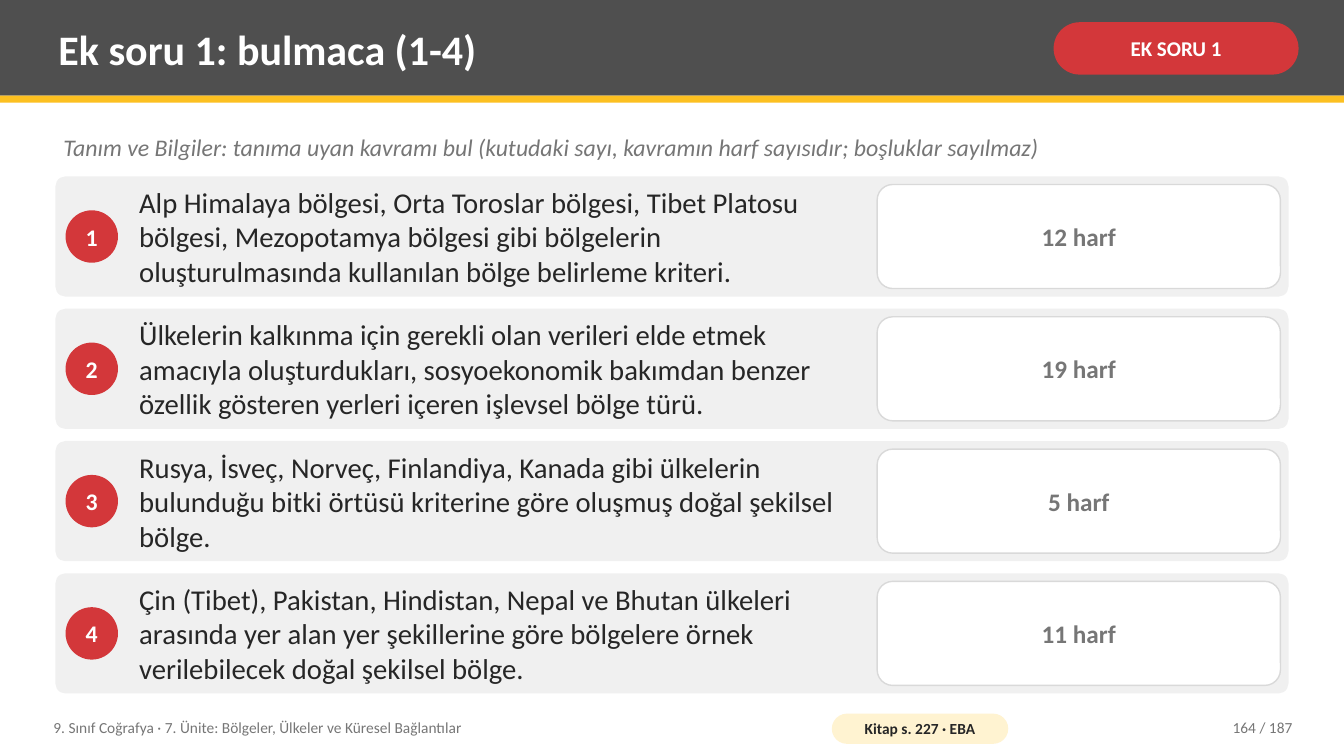
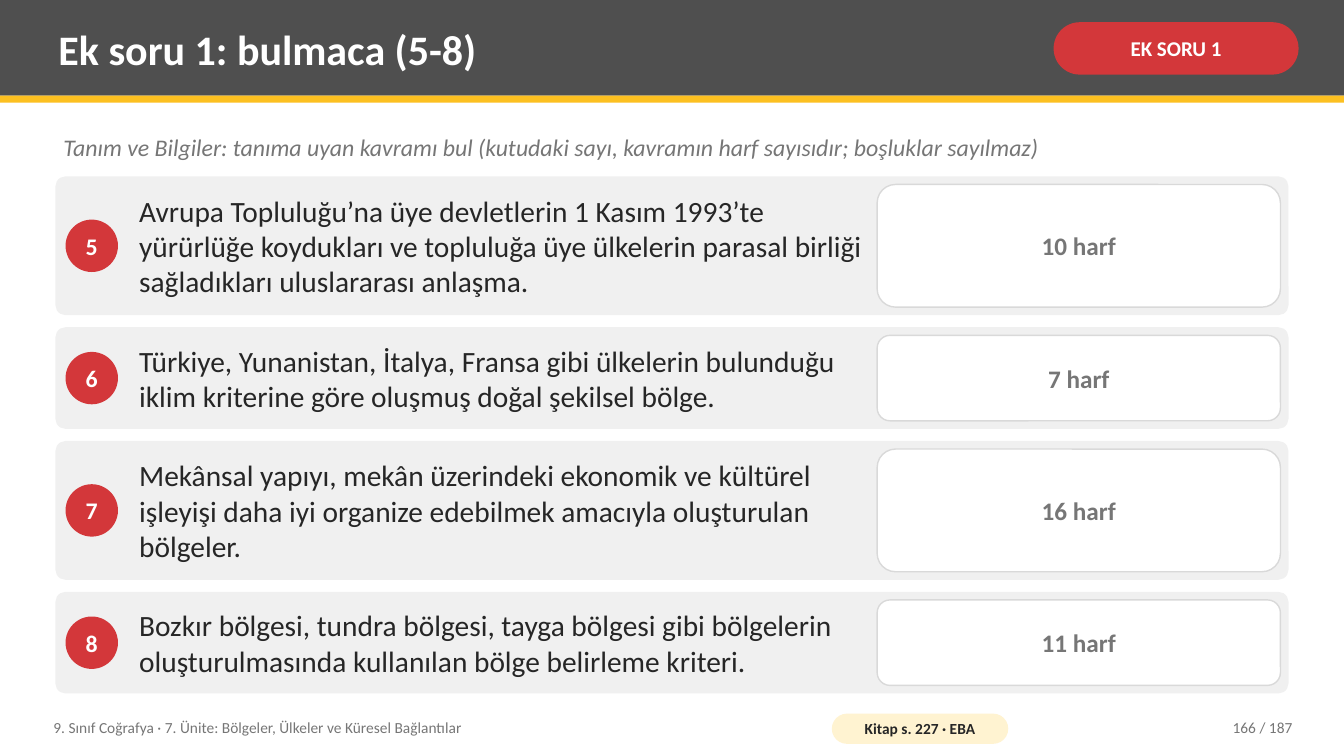
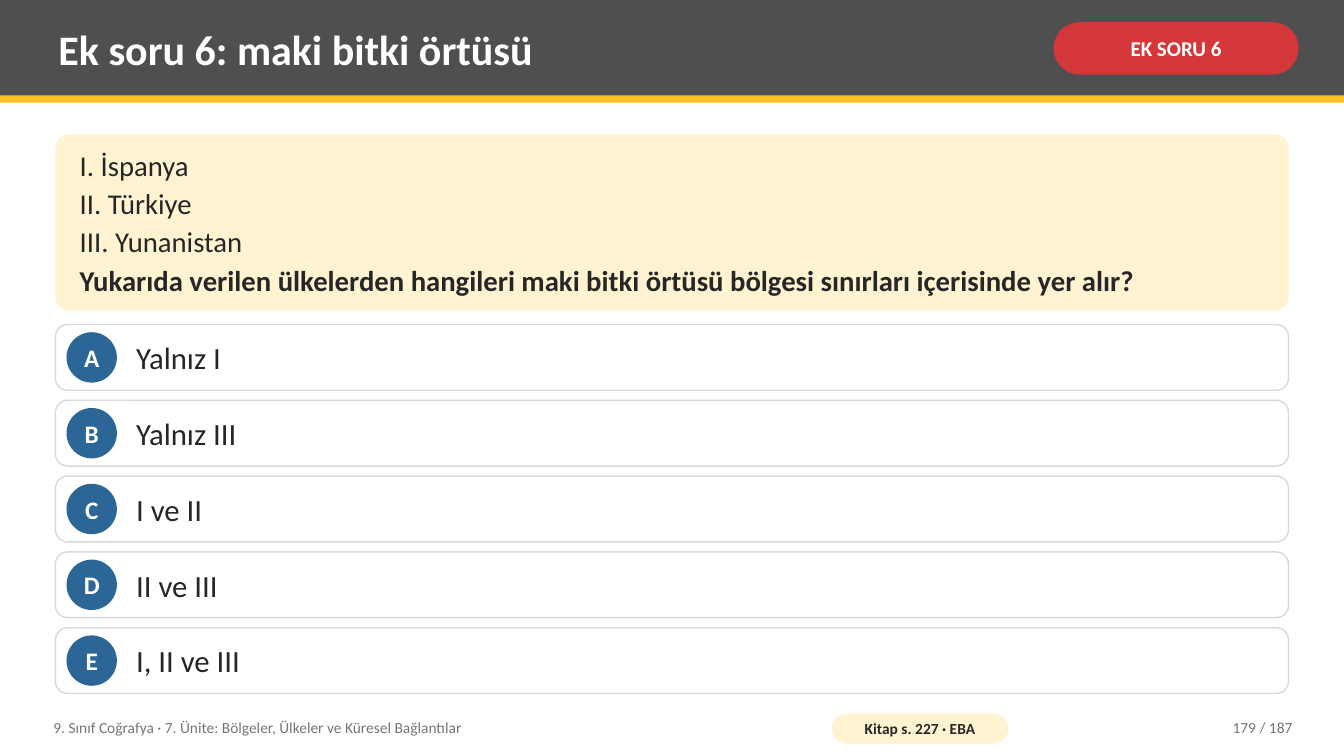
import pptx
import pptx.util
import pptx.dml.color
import pptx.enum.shapes
import pptx.enum.text

Inches = pptx.util.Inches
Kind = pptx.enum.shapes.MSO_SHAPE
Align = pptx.enum.text.PP_ALIGN
Anchor = pptx.enum.text.MSO_ANCHOR

DARK, GOLD, RED, BLUE = "4F4F4F", "FCC021", "D3373A", "2C6696"
INK, GRAY, WHITE = "262626", "767676", "FFFFFF"
PALE, CREAM, EDGE = "F0F0F0", "FFF3D1", "D9D9D9"
LEFT, WIDTH, BOTTOM = 0.55, 12.23, 6.88
INSET = (0.08, 0.04)
HINT = ("Tanım ve Bilgiler: tanıma uyan kavramı bul "
        "(kutudaki sayı, kavramın harf sayısıdır; boşluklar sayılmaz)")


def color(code):
    return pptx.dml.color.RGBColor.from_string(code)


class Deck:
    def __init__(self):
        self.prs = pptx.Presentation()
        self.prs.slide_width = Inches(13.33)
        self.prs.slide_height = Inches(7.5)
        self.slide = None

    def label(self, shape, lines, size, ink, inset=INSET, align=Align.LEFT,
              anchor=Anchor.MIDDLE, wrap=True, after=0, **font):
        """Fill a shape with lines; font holds extra font attributes."""
        frame = shape.text_frame
        side, edge = Inches(inset[0]), Inches(inset[1])
        look = dict(margin_left=side, margin_right=side, margin_top=edge,
                    margin_bottom=edge, word_wrap=wrap, vertical_anchor=anchor)
        for name, value in look.items():
            setattr(frame, name, value)
        look = dict(name="Calibri", size=pptx.util.Pt(size), **font)
        for i, line in enumerate(lines):
            par = frame.add_paragraph() if i else frame.paragraphs[0]
            par.alignment = align
            if after and i < len(lines) - 1:
                par.space_after = pptx.util.Pt(after)
            run = par.add_run()
            run.text = line
            for name, value in look.items():
                setattr(run.font, name, value)
            run.font.color.rgb = color(ink)

    def text(self, box, line, size, ink, **style):
        shape = self.slide.shapes.add_textbox(*map(Inches, box))
        self.label(shape, [line], size, ink, **style)

    def shape(self, kind, box, fill, line=None):
        shape = self.slide.shapes.add_shape(kind, *map(Inches, box))
        shape.shadow.inherit = False
        shape.fill.solid()
        shape.fill.fore_color.rgb = color(fill)
        if line:
            shape.line.color.rgb = color(line)
            shape.line.width = pptx.util.Pt(1)
        else:
            shape.line.fill.background()
        return shape

    def card(self, box, fill, radius, line=None):
        """Rounded box whose corner radius is given in inches."""
        shape = self.shape(Kind.ROUNDED_RECTANGLE, box, fill, line)
        shape.adjustments[0] = radius / box[3]
        return shape

    def pill(self, box, fill, words, size, ink, inset):
        shape = self.card(box, fill, box[3] / 2)
        self.label(shape, [words], size, ink, inset, Align.CENTER, bold=True)

    def badge(self, middle, side, fill, sign, size):
        box = (0.91 - side / 2, middle - side / 2, side, side)
        self.label(self.shape(Kind.OVAL, box, fill), [sign], size, WHITE,
                   (0, 0), Align.CENTER, wrap=False, bold=True)

    def start(self, title, tag, page):
        """Add a slide with its header and footer."""
        self.slide = self.prs.slides.add_slide(self.prs.slide_layouts[6])
        self.shape(Kind.RECTANGLE, (0, 0, 13.33, 0.95), DARK)
        self.shape(Kind.RECTANGLE, (0, 0.95, 13.33, 0.07), GOLD)
        self.text((0.5, 0.07, 9.75, 0.82), title, 30, WHITE, bold=True)
        self.pill((10.45, 0.22, 2.43, 0.52), RED, tag, 15, WHITE, (0.05, 0.02))
        self.text((0.45, 7.04, 7.6, 0.36),
                  "9. Sınıf Coğrafya · 7. Ünite: Bölgeler, Ülkeler ve Küresel Bağlantılar",
                  11, GRAY)
        self.pill((8.25, 7.08, 1.75, 0.3), CREAM, "Kitap s. 227 · EBA", 11,
                  INK, (0.04, 0))
        self.text((11.3, 7.04, 1.6, 0.36), f"{page} / 187", 11, GRAY,
                  align=Align.RIGHT)

    def clue(self, top, high, number, clue, count, size):
        self.card((LEFT, top, WIDTH, high), PALE, 0.1)
        self.badge(top + high / 2, 0.52, RED, str(number), 17)
        self.text((1.3, top, 7.38, high), clue, size, INK)
        box = (8.7, top + 0.08, 4, high - 0.16)
        shape = self.card(box, WHITE, 0.15 * box[3], EDGE)
        self.label(shape, [f"{count} harf"], 18, GRAY, (0.14, 0.08),
                   Align.CENTER, bold=True)

    def puzzle(self, first, page, size, clues):
        """Stack clue rows, each as high as its number of lines asks."""
        last = first + len(clues) - 1
        self.start(f"Ek soru 1: bulmaca ({first}-{last})", "EK SORU 1", page)
        self.text((LEFT, 1.28, WIDTH, 0.42), HINT, 17, GRAY,
                  anchor=Anchor.TOP, italic=True)
        top, gap, pad = 1.75, 0.12, 0.27
        room = BOTTOM - top - gap * (len(clues) - 1) - pad * len(clues)
        unit = room / sum(rows for rows, _, _ in clues)
        for number, (rows, count, clue) in enumerate(clues, first):
            high = pad + unit * rows
            self.clue(top, high, number, clue, count, size)
            top += high + gap

    def quiz(self, facts, ask, answers):
        shape = self.card((LEFT, 1.33, WIDTH, 1.75), CREAM, 0.14)
        self.label(shape, facts + [ask], 20.5, INK, (0.2, 0.08), after=2.8)
        shape.text_frame.paragraphs[-1].runs[0].font.bold = True
        top, gap = 3.22, 0.1
        pitch = (BOTTOM - top + gap) / len(answers)
        high = pitch - gap
        for i, (letter, answer) in enumerate(zip("ABCDE", answers)):
            y = top + i * pitch
            self.card((LEFT, y, WIDTH, high), WHITE, 0.12, EDGE)
            self.badge(y + high / 2, 0.5, BLUE, letter, 18)
            self.text((1.27, y, 11.41, high), answer, 22, INK)


def main():
    deck = Deck()
    deck.puzzle(1, 164, 20.5, [
        (3, 12, "Alp Himalaya bölgesi, Orta Toroslar bölgesi, Tibet Platosu bölgesi, "
                "Mezopotamya bölgesi gibi bölgelerin oluşturulmasında kullanılan "
                "bölge belirleme kriteri."),
        (3, 19, "Ülkelerin kalkınma için gerekli olan verileri elde etmek amacıyla "
                "oluşturdukları, sosyoekonomik bakımdan benzer özellik gösteren "
                "yerleri içeren işlevsel bölge türü."),
        (3, 5, "Rusya, İsveç, Norveç, Finlandiya, Kanada gibi ülkelerin bulunduğu "
               "bitki örtüsü kriterine göre oluşmuş doğal şekilsel bölge."),
        (3, 11, "Çin (Tibet), Pakistan, Hindistan, Nepal ve Bhutan ülkeleri arasında "
                "yer alan yer şekillerine göre bölgelere örnek verilebilecek doğal "
                "şekilsel bölge."),
    ])
    deck.puzzle(5, 166, 21, [
        (3, 10, "Avrupa Topluluğu’na üye devletlerin 1 Kasım 1993’te yürürlüğe "
                "koydukları ve topluluğa üye ülkelerin parasal birliği sağladıkları "
                "uluslararası anlaşma."),
        (2, 7, "Türkiye, Yunanistan, İtalya, Fransa gibi ülkelerin bulunduğu iklim "
               "kriterine göre oluşmuş doğal şekilsel bölge."),
        (3, 16, "Mekânsal yapıyı, mekân üzerindeki ekonomik ve kültürel işleyişi daha "
                "iyi organize edebilmek amacıyla oluşturulan bölgeler."),
        (2, 11, "Bozkır bölgesi, tundra bölgesi, tayga bölgesi gibi bölgelerin "
                "oluşturulmasında kullanılan bölge belirleme kriteri."),
    ])
    deck.start("Ek soru 6: maki bitki örtüsü", "EK SORU 6", 179)
    deck.quiz(
        ["I. İspanya", "II. Türkiye", "III. Yunanistan"],
        "Yukarıda verilen ülkelerden hangileri maki bitki örtüsü bölgesi "
        "sınırları içerisinde yer alır?",
        ["Yalnız I", "Yalnız III", "I ve II", "II ve III", "I, II ve III"])
    deck.prs.save("out.pptx")


if __name__ == "__main__":
    main()
